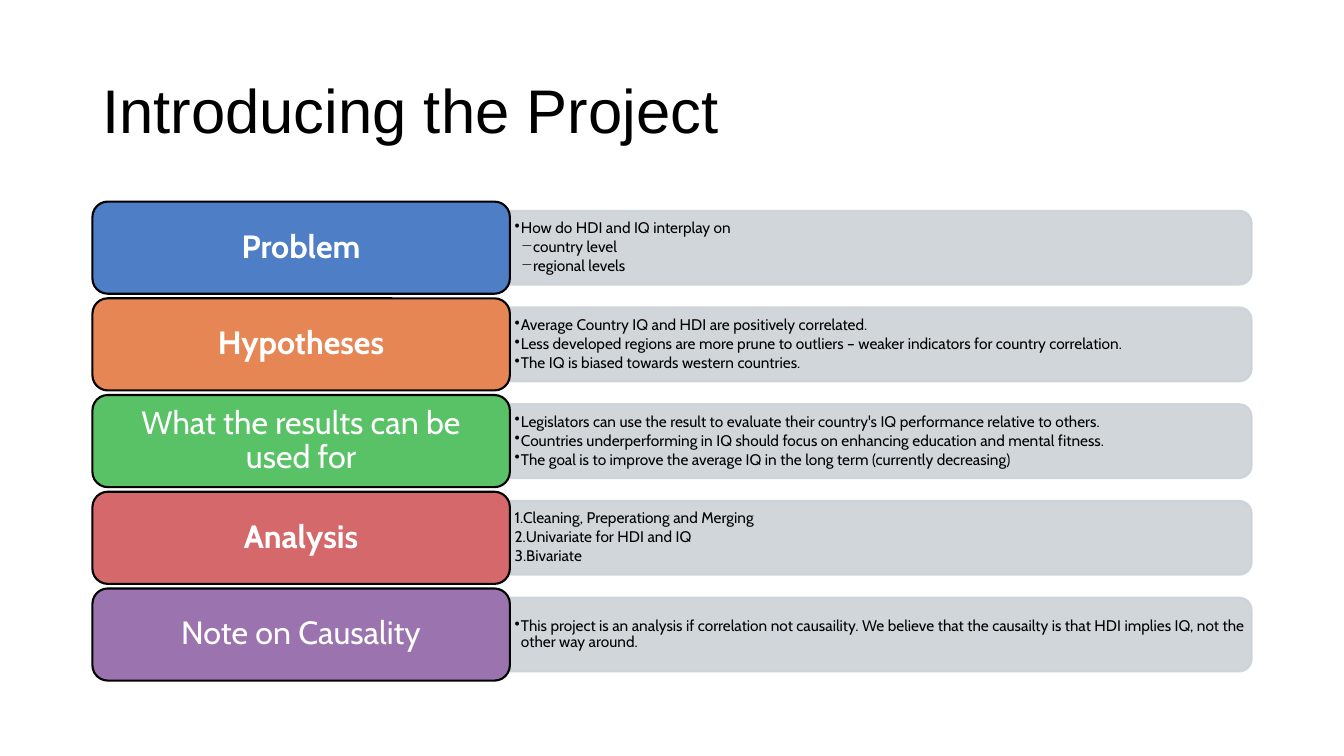
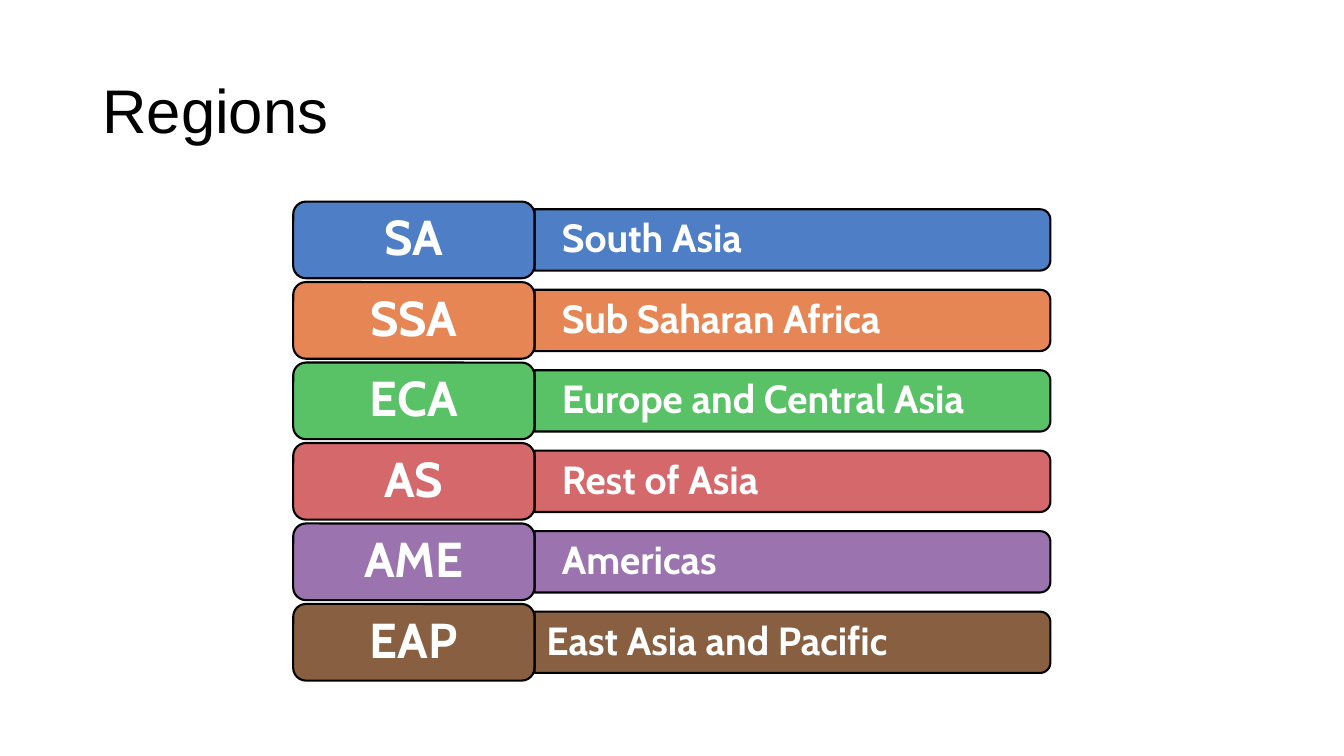
from pptx import Presentation
from pptx.dml.color import RGBColor
from pptx.enum.shapes import MSO_SHAPE as Preset
from pptx.enum.text import MSO_ANCHOR as Anchor, MSO_AUTO_SIZE as AutoSize, PP_ALIGN as Align
from pptx.oxml.ns import qn
from pptx.util import Cm, Pt
from lxml.etree import SubElement

BLACK = RGBColor(0x00, 0x00, 0x00)
WHITE = RGBColor(0xFF, 0xFF, 0xFF)
GREY = RGBColor(0xCC, 0xD2, 0xD8)
BLUE = RGBColor(0x4E, 0x7E, 0xC5)
ORANGE = RGBColor(0xE6, 0x86, 0x55)
GREEN = RGBColor(0x59, 0xC2, 0x67)
RED = RGBColor(0xD5, 0x68, 0x6B)
PURPLE = RGBColor(0x9A, 0x73, 0xAF)
BROWN = RGBColor(0x88, 0x60, 0x41)
ROW_COLORS = (BLUE, ORANGE, GREEN, RED, PURPLE, BROWN)

TITLE_BOX = (2.33, 1.01, 29.21, 3.68)
PROJECT_BOX = (2.33, 5.08, 29.21, 12.07)
REGIONS_BOX = (7.39, 5.08, 19.08, 12.07)
GAP_RATIO = 0.05
BAR_RATIO = 0.8

DOT, DASH, NUMBER = "•", "−", "arabicPeriod"
INDENTS = {DOT: (0.16, -0.16), DASH: (0.46, -0.3), NUMBER: (0.16, -0.16)}

TOPICS = [
    ("Problem", True, [(DOT, "How do HDI and IQ interplay on"),
                       (DASH, "country level"),
                       (DASH, "regional levels")]),
    ("Hypotheses", True, [
        (DOT, "Average Country IQ and HDI are positively correlated."),
        (DOT, "Less developed regions are more prune to outliers – weaker indicators "
              "for country correlation."),
        (DOT, "The IQ is biased towards western countries.")]),
    ("What the results can be used for", False, [
        (DOT, "Legislators can use the result to evaluate their country's IQ performance "
              "relative to others."),
        (DOT, "Countries underperforming in IQ should focus on enhancing education and "
              "mental fitness."),
        (DOT, "The goal is to improve the average IQ in the long term "
              "(currently decreasing)")]),
    ("Analysis", True, [(NUMBER, "Cleaning, Preperationg and Merging"),
                        (NUMBER, "Univariate for HDI and IQ"),
                        (NUMBER, "Bivariate")]),
    ("Note on Causality", False, [
        (DOT, "This project is an analysis if correlation not causaility. We believe that "
              "the causailty is that HDI implies IQ, not the other way around.")]),
]

REGIONS = [
    ("SA", "South Asia", 0.69),
    ("SSA", "Sub Saharan Africa", 0.69),
    ("ECA", "Europe and Central Asia", 0.69),
    ("AS", "Rest of Asia", 0.69),
    ("AME", "Americas", 0.69),
    ("EAP", "East Asia and Pacific", 0.3),
]


def set_bullet(paragraph, bullet):
    """Give a paragraph its bullet or number and its hanging indent."""
    properties = paragraph._p.get_or_add_pPr()
    margin, hanging = INDENTS[bullet]
    properties.set("marL", str(Cm(margin)))
    properties.set("indent", str(Cm(hanging)))
    if bullet == NUMBER:
        SubElement(properties, qn("a:buAutoNum"), type=NUMBER)
    else:
        SubElement(properties, qn("a:buChar"), char=bullet)


def write_text(shape, lines, *, size, color=WHITE, font="Cabin", bold=False,
               align=Align.LEFT, inset=(0.25, 0.13), space_after=0):
    """Fill a shape with (bullet, text) lines in one format."""
    frame = shape.text_frame
    frame.word_wrap = True
    frame.auto_size = AutoSize.NONE
    frame.vertical_anchor = Anchor.MIDDLE
    frame.margin_left = frame.margin_right = Cm(inset[0])
    frame.margin_top = frame.margin_bottom = Cm(inset[1])
    for index, (bullet, text) in enumerate(lines):
        paragraph = frame.add_paragraph() if index else frame.paragraphs[0]
        paragraph.alignment = align
        paragraph.line_spacing = 0.9
        paragraph.space_before = Pt(0)
        paragraph.space_after = Pt(space_after)
        if bullet:
            set_bullet(paragraph, bullet)
        run = paragraph.add_run()
        run.text = text
        run.font.size = Pt(size)
        run.font.name = font
        run.font.bold = bold
        run.font.color.rgb = color


def add_panel(slide, preset, box, fill, line=BLACK, opacity=None):
    """Add a filled and outlined shape in a box given in centimetres."""
    shape = slide.shapes.add_shape(preset, *map(Cm, box))
    shape.shadow.inherit = False
    shape.fill.solid()
    shape.fill.fore_color.rgb = fill
    shape.line.color.rgb = line
    shape.line.width = Pt(1.5)
    if opacity:
        for color in shape._element.spPr.iter(qn("a:srgbClr")):
            SubElement(color, qn("a:alpha"), val=str(opacity * 1000))
    return shape


def add_bar(slide, box, fill, **style):
    """Add a bar whose two right corners are round."""
    left, top, width, height = box
    upright = (left + (width - height) / 2, top + (height - width) / 2, height, width)
    bar = add_panel(slide, Preset.ROUND_2_SAME_RECTANGLE, upright, fill, **style)
    bar.rotation = 90


def add_row(slide, box, label_width, color, label, lines, label_format, text_format,
            bar_style):
    """Add a label block with a text bar to its right."""
    left, top, width, height = box
    bar_height = height * BAR_RATIO
    bar_box = (left + label_width, top + (height - bar_height) / 2,
               width - label_width, bar_height)
    add_bar(slide, bar_box, **{"fill": color, **bar_style})
    text_box = slide.shapes.add_textbox(*map(Cm, bar_box))
    write_text(text_box, lines, **text_format)
    block = add_panel(slide, Preset.ROUNDED_RECTANGLE, (left, top, label_width, height), color)
    write_text(block, [(None, label)], align=Align.CENTER, inset=(0.36, 0.2), **label_format)


def row_boxes(box, count):
    """Yield equal row boxes separated by a gap in proportion to their height."""
    left, top, width, height = box
    row_height = height / (count + (count - 1) * GAP_RATIO)
    for index in range(count):
        yield left, top + index * row_height * (1 + GAP_RATIO), width, row_height


def add_titled_slide(presentation, title):
    """Add a slide with the shared title style."""
    slide = presentation.slides.add_slide(presentation.slide_layouts[5])
    shape = slide.shapes.title
    shape.left, shape.top, shape.width, shape.height = map(Cm, TITLE_BOX)
    write_text(shape, [(None, title)], size=44, color=BLACK, font="Arial")
    return slide


def add_project_slide(presentation):
    """Add the slide that introduces the project."""
    slide = add_titled_slide(presentation, "Introducing the Project")
    boxes = row_boxes(PROJECT_BOX, len(TOPICS))
    for box, color, (label, bold, lines) in zip(boxes, ROW_COLORS, TOPICS):
        add_row(slide, box, 10.52, color, label, lines,
                label_format={"size": 23, "bold": bold},
                text_format={"size": 11, "color": BLACK, "inset": (0.12, 0.06),
                             "space_after": 1.65},
                bar_style={"fill": GREY, "line": GREY, "opacity": 90})


def add_regions_slide(presentation):
    """Add the slide that lists the regions and their codes."""
    slide = add_titled_slide(presentation, "Regions")
    boxes = row_boxes(REGIONS_BOX, len(REGIONS))
    for box, color, (code, name, inset) in zip(boxes, ROW_COLORS, REGIONS):
        add_row(slide, box, 6.08, color, code, [(None, name)],
                label_format={"size": 35, "bold": True},
                text_format={"size": 28, "bold": True, "inset": (inset, 0.15)},
                bar_style={})


def main():
    """Build and save the presentation."""
    presentation = Presentation()
    presentation.slide_width = Cm(33.87)
    presentation.slide_height = Cm(19.05)
    add_project_slide(presentation)
    add_regions_slide(presentation)
    presentation.save("out.pptx")


if __name__ == "__main__":
    main()
